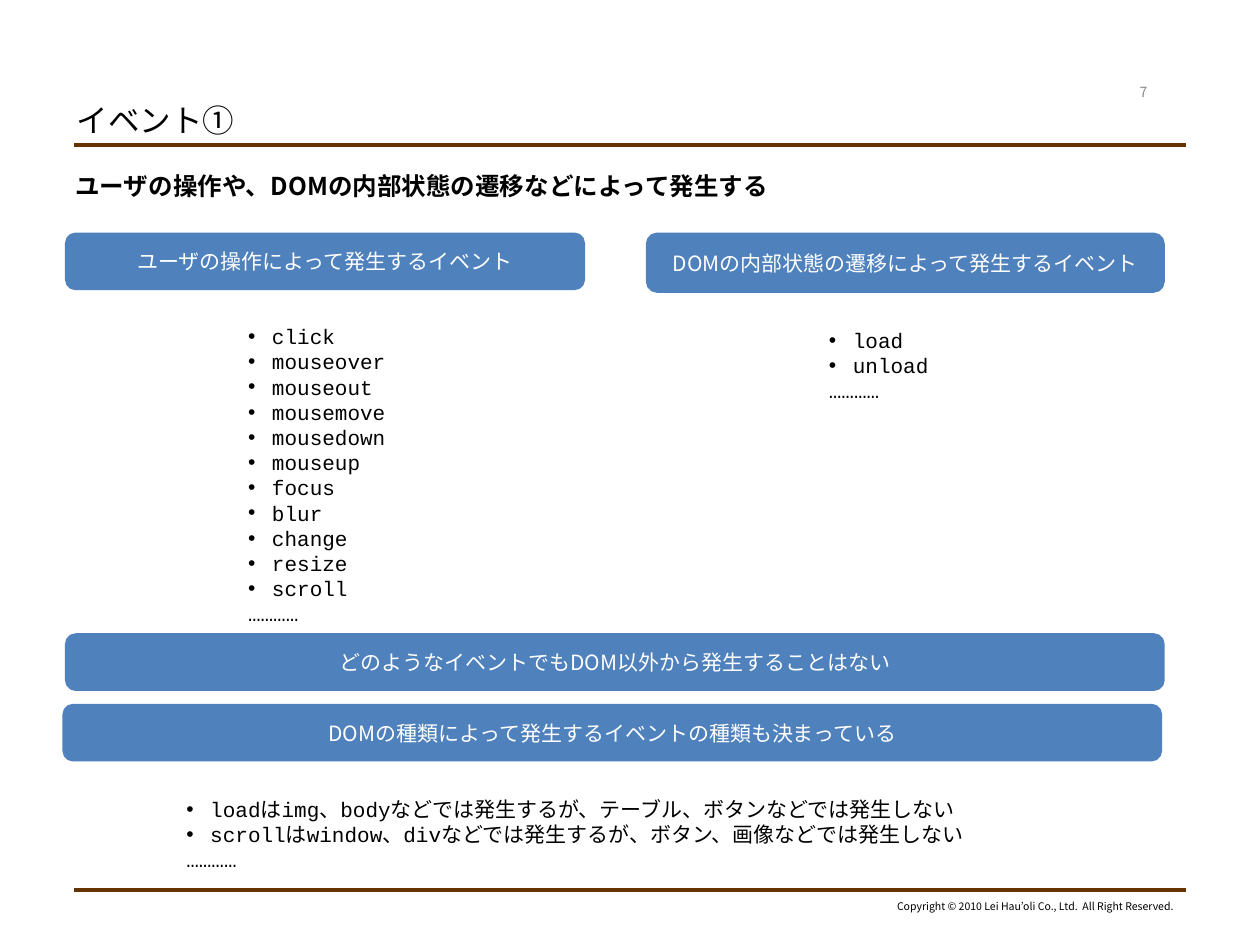
from dataclasses import dataclass

from lxml import etree
from pptx import Presentation
from pptx.dml.color import RGBColor
from pptx.enum import shapes, text
from pptx.oxml import ns
from pptx.util import Inches, Pt

BLACK = RGBColor(0x00, 0x00, 0x00)
WHITE = RGBColor(0xFF, 0xFF, 0xFF)
GRAY = RGBColor(0x89, 0x89, 0x89)
BLUE = RGBColor(0x4F, 0x81, 0xBD)
BROWN = RGBColor(0x66, 0x33, 0x00)
SANS = "Noto Sans CJK JP"
MONO = "Courier New"
ELLIPSIS = "…………"


@dataclass
class Box:
    left: float
    top: float
    width: float
    height: float

    def lengths(self) -> list:
        return [Inches(n) for n in (self.left, self.top, self.width, self.height)]


@dataclass
class Banner:
    box: Box
    label: str


@dataclass
class EventList:
    box: Box
    items: list[str]


BANNERS = [
    Banner(Box(0.53, 1.86, 4.1, 0.43), "ユーザの操作によって発生するイベント"),
    Banner(Box(5.14, 1.86, 4.09, 0.45), "DOMの内部状態の遷移によって発生するイベント"),
    Banner(Box(0.53, 5.04, 8.7, 0.43), "どのようなイベントでもDOM以外から発生することはない"),
    Banner(Box(0.51, 5.6, 8.7, 0.43), "DOMの種類によって発生するイベントの種類も決まっている"),
]
EVENT_LISTS = [
    EventList(Box(1.87, 2.52, 1.48, 2.5),
              ["click", "mouseover", "mouseout", "mousemove", "mousedown", "mouseup",
               "focus", "blur", "change", "resize", "scroll"]),
    EventList(Box(6.48, 2.55, 1.22, 0.7), ["load", "unload"]),
    EventList(Box(1.38, 6.27, 7.48, 0.7),
              ["loadはimg、bodyなどでは発生するが、テーブル、ボタンなどでは発生しない",
               "scrollはwindow、divなどでは発生するが、ボタン、画像などでは発生しない"]),
]


def write(paragraph, content: str, size: float = 12, color: RGBColor = BLACK,
          font: str = SANS, bold: bool = False, align=text.PP_ALIGN.LEFT) -> None:
    paragraph.alignment = align
    run = paragraph.add_run()
    run.text = content
    run.font.size = Pt(size)
    run.font.bold = bold
    run.font.color.rgb = color
    run.font.name = font
    # Japanese characters always use the sans font
    east_asian = etree.SubElement(run.font._element, ns.qn("a:ea"))
    east_asian.set("typeface", SANS)


def indent(paragraph, bullet: bool) -> None:
    properties = paragraph._p.get_or_add_pPr()
    properties.set("marL", str(Inches(0.19)))
    properties.set("indent", str(-Inches(0.19)))
    if bullet:
        etree.SubElement(properties, ns.qn("a:buFont")).set("typeface", "Arial")
        etree.SubElement(properties, ns.qn("a:buChar")).set("char", "•")
    else:
        etree.SubElement(properties, ns.qn("a:buNone"))


def add_text(slide, box: Box, content: str, wrap: bool = True,
             anchor=text.MSO_ANCHOR.TOP, **style) -> None:
    frame = slide.shapes.add_textbox(*box.lengths()).text_frame
    frame.word_wrap = wrap
    frame.vertical_anchor = anchor
    write(frame.paragraphs[0], content, **style)


def add_rule(slide, y: float) -> None:
    line = slide.shapes.add_connector(
        shapes.MSO_CONNECTOR.STRAIGHT, Inches(0.59), Inches(y), Inches(9.41), Inches(y))
    line.line.color.rgb = BROWN
    line.line.width = Pt(2.25)
    etree.SubElement(line._element.spPr, ns.qn("a:effectLst"))


def add_banner(slide, banner: Banner) -> None:
    shape = slide.shapes.add_shape(
        shapes.MSO_SHAPE.ROUNDED_RECTANGLE, *banner.box.lengths())
    shape.shadow.inherit = False
    shape.fill.solid()
    shape.fill.fore_color.rgb = BLUE
    shape.line.color.rgb = BLUE
    shape.line.width = Pt(2)
    frame = shape.text_frame
    frame.word_wrap = True
    frame.vertical_anchor = text.MSO_ANCHOR.MIDDLE
    write(frame.paragraphs[0], banner.label, color=WHITE, align=text.PP_ALIGN.CENTER)


def add_event_list(slide, event_list: EventList) -> None:
    frame = slide.shapes.add_textbox(*event_list.box.lengths()).text_frame
    frame.word_wrap = True
    for index, item in enumerate([*event_list.items, ELLIPSIS]):
        paragraph = frame.add_paragraph() if index else frame.paragraphs[0]
        indent(paragraph, bullet=item != ELLIPSIS)
        write(paragraph, item, font=MONO)


def main() -> None:
    presentation = Presentation()
    presentation.slide_width = Inches(10)
    presentation.slide_height = Inches(7.5)
    slide = presentation.slides.add_slide(presentation.slide_layouts[5])

    # Title
    title = slide.shapes.title
    title.left, title.top, title.width, title.height = Box(0.51, 0.76, 5.68, 0.39).lengths()
    title.text_frame.auto_size = text.MSO_AUTO_SIZE.NONE
    title.text_frame.vertical_anchor = text.MSO_ANCHOR.MIDDLE
    write(title.text_frame.paragraphs[0], "イベント①", size=18)

    # Rules, footer and page number
    for y in (1.15, 7.06):
        add_rule(slide, y)
    add_text(slide, Box(6.99, 7.09, 2.42, 0.2),
             "Copyright © 2010 Lei Hau’oli Co., Ltd.  All Right Reserved.",
             wrap=False, size=6, align=text.PP_ALIGN.RIGHT)
    add_text(slide, Box(8.78, 0.61, 0.59, 0.24), "7", anchor=text.MSO_ANCHOR.MIDDLE,
             size=8, color=GRAY, align=text.PP_ALIGN.CENTER)

    # Lead sentence, banners and event lists
    add_text(slide, Box(0.5, 1.31, 9, 0.4),
             "ユーザの操作や、DOMの内部状態の遷移などによって発生する", size=14, bold=True)
    for banner in BANNERS:
        add_banner(slide, banner)
    for event_list in EVENT_LISTS:
        add_event_list(slide, event_list)

    presentation.save("out.pptx")


if __name__ == "__main__":
    main()
